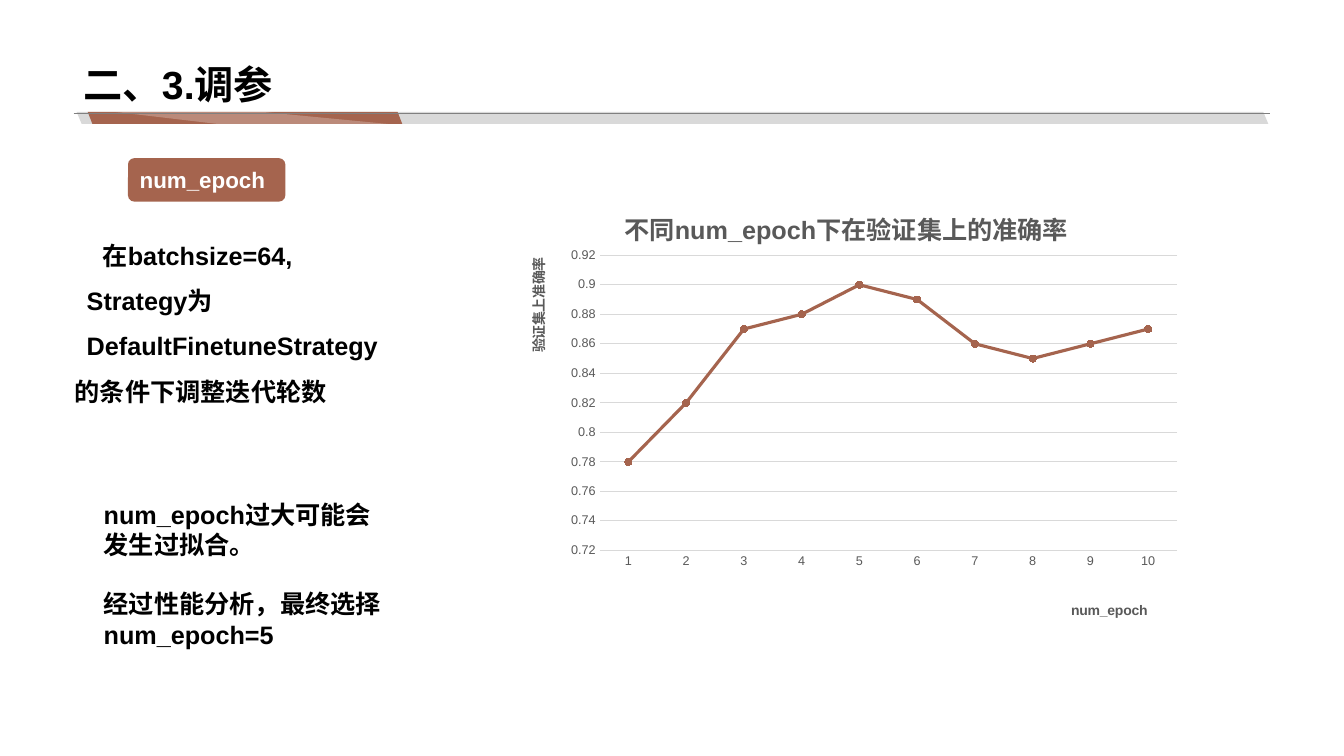
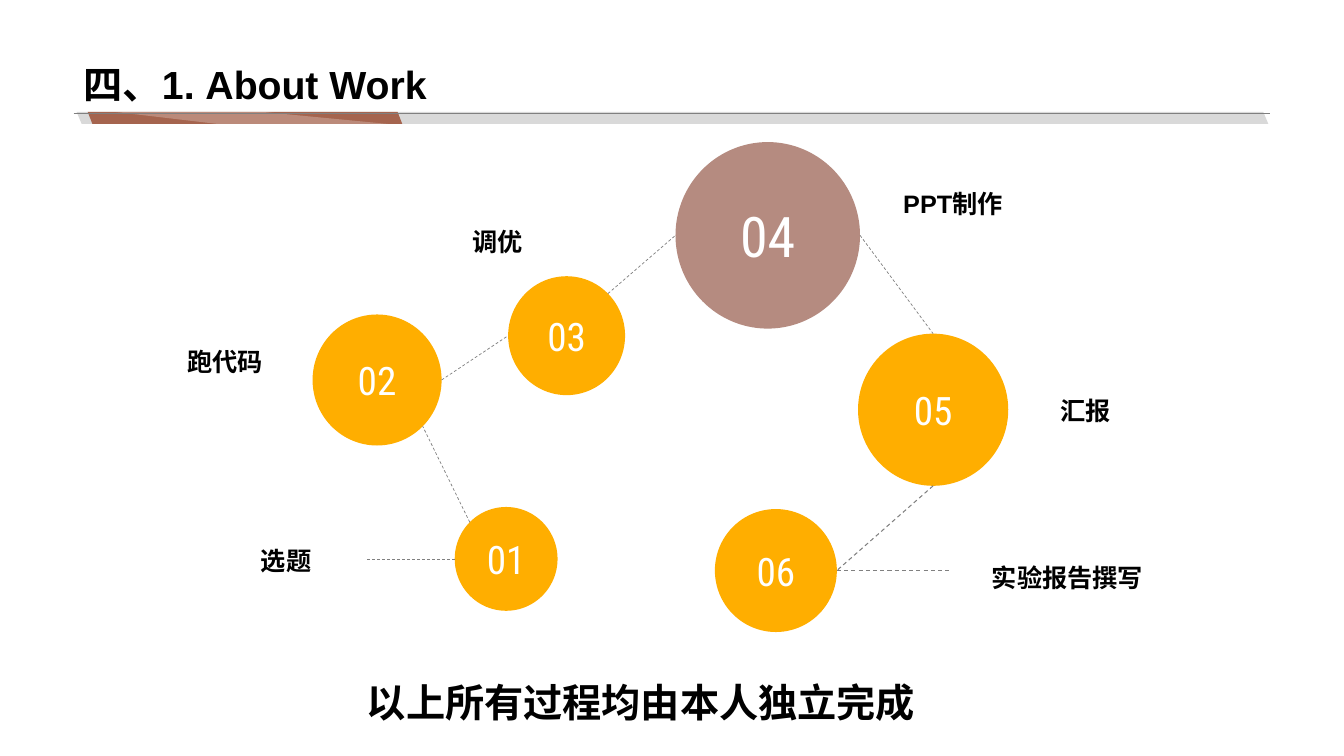
from math import cos, radians, sin

from lxml.etree import SubElement
from pptx import Presentation
from pptx.chart.data import CategoryChartData
from pptx.dml.color import RGBColor
from pptx.enum.chart import XL_CHART_TYPE as Kind, XL_MARKER_STYLE as Mark, XL_TICK_MARK as Tick
from pptx.enum.dml import MSO_LINE as Dash
from pptx.enum.shapes import MSO_CONNECTOR as Wire, MSO_SHAPE as Form
from pptx.enum.text import MSO_ANCHOR as Anchor, MSO_AUTO_SIZE as Fit, PP_ALIGN as Align
from pptx.oxml import parse_xml
from pptx.oxml.ns import nsdecls, qn
from pptx.util import Pt

PX = 9144
BLACK, WHITE, GRAY, INK, PALE = "000000", "FFFFFF", "808080", "595959", "D9D9D9"
RUST, ROSE, GOLD = "A5644E", "B58B80", "FFAE00"
SANS, SLIM = "Arial", "Roboto Condensed"

BANDS = [((76, 111, 1182, 12), PALE, 0.42), ((87, 111, 312, 12), RUST, 0.39)]
SHEEN = [(385, 123), (260, 111), (114, 111), (216, 123)]

TUNE = "二、3.调参"
SETUP = [
    ("在batchsize=64,", {"align": Align.CENTER}),
    ("Strategy为", {"indent": 69, "lead": 1.5}),
    ("DefaultFinetuneStrategy", {"indent": 69, "lead": 1.5}),
    ("的条件下调整迭代轮数", {"indent": 57, "lead": 1.5}),
]
FOUND = [
    ("num_epoch过大可能会", {}),
    ("发生过拟合。", {}),
    ("经过性能分析，最终选择", {"before": 21}),
    ("num_epoch=5", {}),
]
PLOT = "不同num_epoch下在验证集上的准确率"
SCORES = [0.78, 0.82, 0.87, 0.88, 0.9, 0.89, 0.86, 0.85, 0.86, 0.87]

WORK = "四、1. About Work"
NODES = {
    "01": ((451, 503, 102, 103), GOLD, 28),
    "02": ((310, 312, 128, 130), GOLD, 28),
    "03": ((504, 274, 116, 118), GOLD, 28),
    "04": ((670, 141, 183, 185), ROSE, 40),
    "05": ((851, 331, 149, 151), GOLD, 28),
    "06": ((709, 505, 121, 122), GOLD, 28),
}
LINKS = [
    ("01", 225, "02", 45, 0.5),
    ("02", 0, "03", 180, 0.5),
    ("03", 315, "04", 180, 0.5),
    ("04", 0, "05", 270, 0.5),
    ("05", 90, "06", 0, 0.75),
]
LEADS = [("01", 180, 338, 0.5), ("06", 0, 942, 0.75)]
LABELS = [
    ("选题", (249, 536, 115, 38), 18, WHITE),
    ("跑代码", (176, 339, 143, 38), 18, None),
    ("调优", (459, 220, 104, 38), 18, None),
    ("PPT制作", (886, 182, 172, 38), 18, None),
    ("汇报", (1042, 387, 111, 38), 18, None),
    ("实验报告撰写", (974, 553, 170, 38), 18, None),
    ("以上所有过程均由本人独立完成", (354, 668, 379, 38), 28, WHITE),
]


def emu(vals):
    return [round(v * PX) for v in vals]


def rgb(code):
    return RGBColor.from_string(code)


def style(font, size, color, bold=False, face=SANS):
    font.name, font.size, font.bold = face, Pt(size), bold
    font.color.rgb = rgb(color)


def write(frame, lines, size=18, color=BLACK, face=SANS, bold=True,
          align=Align.LEFT, anchor=Anchor.TOP, wrap=False, lead=None):
    frame.word_wrap, frame.auto_size = wrap, Fit.NONE
    frame.vertical_anchor = anchor
    if isinstance(lines, str):
        lines = [(lines, {})]
    for i, (text, opts) in enumerate(lines):
        para = frame.add_paragraph() if i else frame.paragraphs[0]
        para.alignment = opts.get("align", align)
        gap = opts.get("lead", lead)
        if gap:
            para.line_spacing = gap
        if "before" in opts:
            para.space_before = Pt(opts["before"])
        run = para.add_run()
        run.text = text
        style(run.font, size, color, bold, face)
        if "indent" in opts:
            props = run.font._element.getparent().getparent().get_or_add_pPr()
            props.set("marL", str(opts["indent"] * PX))


def paint(shape, fill):
    shape.shadow.inherit = False
    shape.line.fill.background()
    shape.fill.solid()
    shape.fill.fore_color.rgb = rgb(fill)
    return shape


def block(slide, form, box, fill):
    return paint(slide.shapes.add_shape(form, *emu(box)), fill)


def label(slide, box, lines, fill=None, **fmt):
    if fill:
        shape = block(slide, Form.RECTANGLE, box, fill)
    else:
        shape = slide.shapes.add_textbox(*emu(box))
    write(shape.text_frame, lines, **fmt)


def wire(slide, start, end, width, dash=None):
    line = slide.shapes.add_connector(Wire.STRAIGHT, *emu((*start, *end)))
    line.line.color.rgb = rgb(GRAY)
    line.line.width = Pt(width)
    if dash:
        line.line.dash_style = dash
    SubElement(line.element.spPr, qn("a:effectLst"))
    return line


def brand(slide, layout):
    parts = []
    for box, fill, slant in BANDS:
        band = block(slide, Form.PARALLELOGRAM, box, fill)
        band.adjustments[0] = slant
        band.element.find(".//" + qn("a:xfrm")).set("flipH", "1")
        parts.append(band)
    points = [tuple(emu(p)) for p in SHEEN]
    pen = slide.shapes.build_freeform(*points[0], scale=1.0)
    pen.add_line_segments(points[1:], close=True)
    sheen = paint(pen.convert_to_shape(), WHITE)
    tint = sheen.element.spPr.find(qn("a:solidFill"))[0]
    SubElement(tint, qn("a:alpha")).set("val", "25000")
    parts += [sheen, wire(slide, (73, 112), (1260, 112), 0.25)]
    for part in parts:
        layout.shapes.element.append(part.element)


def head(slide, text):
    title = slide.shapes.title
    title.left, title.top, title.width, title.height = emu((73, 0, 1187, 112))
    write(title.text_frame, text, size=28, anchor=Anchor.BOTTOM, wrap=True, lead=0.9)


def place(item, **vals):
    old = item.find(qn("c:layout"))
    if old is not None:
        item.remove(old)
    modes = {"x": "edge", "y": "edge"}
    body = '<c:layoutTarget val="inner"/>' if "w" in vals else ""
    body += "".join(f'<c:{k}Mode val="{m}"/>' for k, m in modes.items())
    body += "".join(f'<c:{k} val="{v}"/>' for k, v in vals.items())
    new = parse_xml(f'<c:layout {nsdecls("c")}><c:manualLayout>{body}</c:manualLayout></c:layout>')
    item.insert(0 if item.find(qn("c:tx")) is None else 1, new)


def name(title, text, size, x, y):
    run = title.text_frame.paragraphs[0].add_run()
    run.text = text
    style(run.font, size, INK, True)
    place(title.element, x=x, y=y)


def graph(slide):
    data = CategoryChartData()
    data.categories = [str(i + 1) for i in range(len(SCORES))]
    data.add_series("Series 1", SCORES)
    chart = slide.shapes.add_chart(Kind.LINE_MARKERS, *emu((507, 179, 674, 439)), data).chart
    style(chart.font, 10, BLACK)
    chart.has_legend = False
    chart.has_title = True
    name(chart.chart_title, PLOT, 18, 0.16, 0.05)
    place(chart.element.find(".//" + qn("c:plotArea")), x=0.13, y=0.17, w=0.85, h=0.67)

    cat, val = chart.category_axis, chart.value_axis
    for axis in (cat, val):
        axis.major_tick_mark = axis.minor_tick_mark = Tick.NONE
        style(axis.tick_labels.font, 9, INK)
        axis.has_title = True
    name(cat.axis_title, "num_epoch", 10, 0.82, 0.95)
    name(val.axis_title, "验证集上准确率", 10, 0.02, 0.17)
    val.axis_title.element.find(".//" + qn("a:bodyPr")).set("rot", "-5400000")
    val.minimum_scale, val.maximum_scale, val.major_unit = 0.72, 0.92, 0.02
    val.format.line.fill.background()
    val.has_major_gridlines = True
    for rule in (cat.format.line, val.major_gridlines.format.line):
        rule.color.rgb = rgb(PALE)
        rule.width = Pt(0.75)

    plot = chart.plots[0]
    plot.vary_by_categories = False
    line = plot.series[0]
    line.smooth = False
    line.format.line.color.rgb = rgb(RUST)
    line.format.line.width = Pt(2.25)
    line.marker.style, line.marker.size = Mark.CIRCLE, 5
    dot = line.marker.format
    dot.fill.solid()
    dot.fill.fore_color.rgb = rgb(RUST)
    dot.line.color.rgb = rgb(RUST)


def tune(slide):
    head(slide, TUNE)
    pill = block(slide, Form.ROUNDED_RECTANGLE, (127, 157, 156, 43), RUST)
    pill.adjustments[0] = 0.14
    write(pill.text_frame, "num_epoch", size=16, color=WHITE, anchor=Anchor.MIDDLE)
    label(slide, (20, 201, 352, 207), SETUP, anchor=Anchor.BOTTOM)
    graph(slide)
    label(slide, (93, 469, 325, 180), FOUND, anchor=Anchor.BOTTOM)


def rim(node, deg):
    x, y, w, h = NODES[node][0]
    turn = radians(deg)
    return x + w / 2 * (1 + cos(turn)), y + h / 2 * (1 + sin(turn))


def work(slide):
    head(slide, WORK)
    for num, (box, fill, size) in NODES.items():
        disc = block(slide, Form.OVAL, box, fill)
        write(disc.text_frame, num, size=size, color=WHITE, face=SLIM, bold=False,
              align=Align.CENTER, anchor=Anchor.MIDDLE)
    for a, out, b, into, width in LINKS:
        wire(slide, rim(a, out), rim(b, into), width, Dash.DASH)
    for node, deg, x, width in LEADS:
        start = rim(node, deg)
        wire(slide, start, (x, start[1]), width, Dash.DASH)
    for text, box, size, fill in LABELS:
        label(slide, box, text, fill, size=size)


def main():
    deck = Presentation()
    deck.slide_width, deck.slide_height = emu((1333, 750))
    layout = deck.slide_layouts[5]
    pages = [deck.slides.add_slide(layout) for _ in range(2)]
    brand(pages[0], layout)
    tune(pages[0])
    work(pages[1])
    deck.save("out.pptx")


if __name__ == "__main__":
    main()
